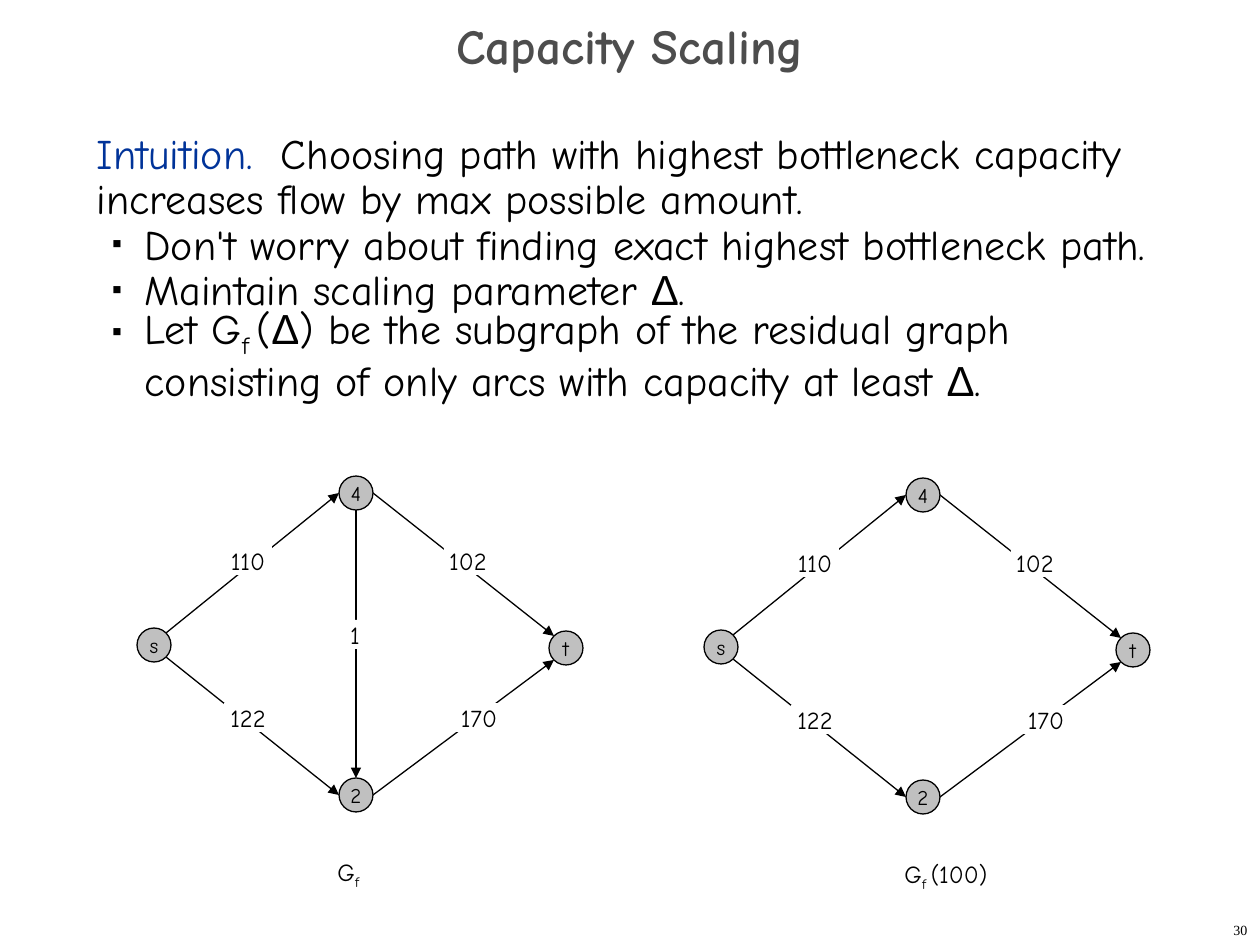
from dataclasses import dataclass

from lxml import etree
from pptx import Presentation
from pptx.dml.color import RGBColor
from pptx.enum.shapes import MSO_CONNECTOR, MSO_SHAPE
from pptx.enum.text import MSO_ANCHOR, MSO_AUTO_SIZE, PP_ALIGN
from pptx.oxml.ns import qn
from pptx.util import Emu, Pt

LEFT, CENTER, RIGHT = PP_ALIGN.LEFT, PP_ALIGN.CENTER, PP_ALIGN.RIGHT
TOP, MIDDLE = MSO_ANCHOR.TOP, MSO_ANCHOR.MIDDLE
OVAL, RECTANGLE = MSO_SHAPE.OVAL, MSO_SHAPE.RECTANGLE
STRAIGHT = MSO_CONNECTOR.STRAIGHT
PX = 914400 / 126


@dataclass(frozen=True)
class Theme:
    font: str = "Comic Neue"
    symbol_font: str = "Arial"
    number_font: str = "Times New Roman"
    ink: str = "000000"
    heading: str = "4D4D4D"
    accent: str = "003399"
    paper: str = "FFFFFF"
    node: str = "C0C0C0"
    title_size: int = 28
    body_size: int = 24
    label_size: int = 14
    node_size: int = 12
    number_size: int = 8
    line_width: float = 0.75
    body_leading: int = 26


def px(length):
    return Emu(round(length * PX))


def rgb(color):
    return RGBColor.from_string(color)


class Page:
    """Holds the theme and the current slide, and draws each kind of element."""

    def __init__(self, slide, theme):
        self.slide, self.theme = slide, theme

    def place(self, shape, left, top, width, height):
        shape.left, shape.top = px(left), px(top)
        shape.width, shape.height = px(width), px(height)

    def style(self, span, size, color=None, font=None, bold=False):
        span.font.size, span.font.bold = Pt(size), bold
        span.font.name = font or self.theme.font
        span.font.color.rgb = rgb(color or self.theme.ink)

    def frame(self, shape, anchor, wrap=True):
        frame = shape.text_frame
        frame.auto_size, frame.word_wrap = MSO_AUTO_SIZE.NONE, wrap
        frame.vertical_anchor = anchor
        return frame

    def set_text(self, shape, text, size, align, anchor, wrap=True, **look):
        frame = self.frame(shape, anchor, wrap)
        frame.text = text
        para = frame.paragraphs[0]
        para.alignment = align
        self.style(para.runs[0], size, **look)
        return para

    def add_spans(self, para, spans, size):
        """Add (text, kind) spans; kind is plain, accent, symbol or sub."""
        for text, kind in spans:
            span = para.add_run()
            span.text = text
            self.style(span, size,
                       self.theme.accent if kind == "accent" else None,
                       self.theme.symbol_font if kind == "symbol" else None)
            if kind == "sub":
                span.font._element.set("baseline", "-25000")

    def title(self, text, *area):
        shape = self.slide.shapes.title
        self.place(shape, *area)
        para = self.set_text(shape, text, self.theme.title_size, CENTER, MIDDLE,
                             color=self.theme.heading, bold=True)
        para.line_spacing = 0.7

    def body(self, intro, points, *area):
        shape = self.slide.placeholders[1]
        self.place(shape, *area)
        frame = self.frame(shape, TOP)
        for index, spans in enumerate([intro, *points]):
            para = frame.add_paragraph() if index else frame.paragraphs[0]
            para.level = 1 if index else 0
            para.alignment = LEFT
            para.line_spacing = Pt(self.theme.body_leading)
            para.space_before = Pt(0)
            self.bullet(para, "■" if index else None)
            self.add_spans(para, spans, self.theme.body_size)

    def bullet(self, para, char):
        properties = para._p.get_or_add_pPr()
        properties.set("marL", str(px(48) if char else 0))
        properties.set("indent", str(px(-32) if char else 0))
        if not char:
            etree.SubElement(properties, qn("a:buNone"))
            return
        color = etree.SubElement(properties, qn("a:buClr"))
        etree.SubElement(color, qn("a:srgbClr"), val=self.theme.ink)
        etree.SubElement(properties, qn("a:buSzPct"), val="35000")
        etree.SubElement(properties, qn("a:buFont"), typeface=self.theme.symbol_font)
        etree.SubElement(properties, qn("a:buChar"), char=char)

    def text_box(self, left, top, width, height):
        return self.slide.shapes.add_textbox(px(left), px(top), px(width), px(height))

    def caption(self, spans, *area):
        frame = self.frame(self.text_box(*area), TOP)
        self.add_spans(frame.paragraphs[0], spans, self.theme.label_size)

    def page_number(self, text, *area):
        self.set_text(self.text_box(*area), text, self.theme.number_size, RIGHT, MIDDLE,
                      font=self.theme.number_font)

    def shape(self, preset, fill, left, top, width, height):
        shape = self.slide.shapes.add_shape(preset, px(left), px(top), px(width), px(height))
        shape.shadow.inherit = False
        shape.fill.solid()
        shape.fill.fore_color.rgb = rgb(fill)
        return shape

    def outline(self, line):
        line.color.rgb = rgb(self.theme.ink)
        line.width = Pt(self.theme.line_width)

    def node(self, name, x, y):
        shape = self.shape(OVAL, self.theme.node, x - RADIUS, y - RADIUS, 2 * RADIUS, 2 * RADIUS)
        self.outline(shape.line)
        self.set_text(shape, name, self.theme.node_size, CENTER, MIDDLE, wrap=False)

    def label(self, text, x, y):
        width, height = (48, 29) if len(text) > 1 else (38, 29)
        shape = self.shape(RECTANGLE, self.theme.paper, x - width // 2, y, width, height)
        shape.line.fill.background()
        frame = shape.text_frame
        frame.margin_left = frame.margin_right = frame.margin_top = frame.margin_bottom = 0
        self.set_text(shape, text, self.theme.label_size, CENTER, TOP)

    def arrow(self, start, end):
        connector = self.slide.shapes.add_connector(STRAIGHT, *map(px, start + end))
        self.outline(connector.line)
        properties = connector._element.spPr
        etree.SubElement(properties.get_or_add_ln(), qn("a:tailEnd"), type="triangle")
        etree.SubElement(properties, qn("a:effectLst"))

    def graph(self, dx, dy, edges):
        """Draw the network moved by (dx, dy): arrows, then nodes, then labels."""
        centers = {name: (x + dx, y + dy) for name, (x, y) in NODES.items()}

        def port(name, side):
            return tuple(c + round(RADIUS * s) for c, s in zip(centers[name], SIDES[side]))

        for source, leave, target, enter, *_ in edges:
            self.arrow(port(source, leave), port(target, enter))
        for name, center in centers.items():
            self.node(name, *center)
        for *_, capacity, x, y in edges:
            self.label(capacity, x + dx, y + dy)


RADIUS = 17
DIAGONAL = 0.71
SIDES = {
    "top": (0, -1), "bottom": (0, 1), "left": (-1, 0), "right": (1, 0),
    "upper right": (DIAGONAL, -DIAGONAL), "lower right": (DIAGONAL, DIAGONAL),
    "upper left": (-DIAGONAL, -DIAGONAL), "lower left": (-DIAGONAL, DIAGONAL),
}
NODES = {"s": (154, 645), "4": (356, 493), "2": (356, 795), "t": (566, 648)}
# source, side left, target, side entered, capacity, label centre x, label top
OUTER_EDGES = [
    ("s", "upper right", "4", "left", "110", 248, 546),
    ("s", "lower right", "2", "left", "122", 248, 703),
    ("4", "right", "t", "upper left", "102", 468, 546),
    ("2", "right", "t", "lower left", "170", 479, 703),
]
MIDDLE_EDGE = ("4", "bottom", "2", "top", "1", 355, 620)

INTRO = [
    ("Intuition.  ", "accent"),
    ("Choosing path with highest bottleneck capacity increases flow by max possible amount.",
     "plain"),
]
POINTS = [
    [("Don't worry about finding exact highest bottleneck path.", "plain")],
    [("Maintain scaling parameter ", "plain"), ("Δ", "symbol"), (".", "plain")],
    [("Let G", "plain"), ("f ", "sub"), ("(", "plain"), ("Δ", "symbol"),
     (") be the subgraph of the residual graph consisting of only arcs with capacity at least ",
      "plain"), ("Δ", "symbol"), (".", "plain")],
]


def main():
    deck = Presentation()
    deck.slide_width, deck.slide_height = px(1260), px(945)
    page = Page(deck.slides.add_slide(deck.slide_layouts[1]), Theme())
    page.title("Capacity Scaling", 0, 21, 1260, 63)
    page.body(INTRO, POINTS, 84, 126, 1081, 746)
    page.graph(0, 0, OUTER_EDGES + [MIDDLE_EDGE])
    page.caption([("G", "plain"), ("f", "sub")], 325, 851, 84, 47)
    page.graph(567, 2, OUTER_EDGES)
    page.caption([("G", "plain"), ("f ", "sub"), ("(100)", "plain")], 892, 853, 158, 47)
    page.page_number("30", 998, 914, 262, 31)
    deck.save("out.pptx")


if __name__ == "__main__":
    main()
